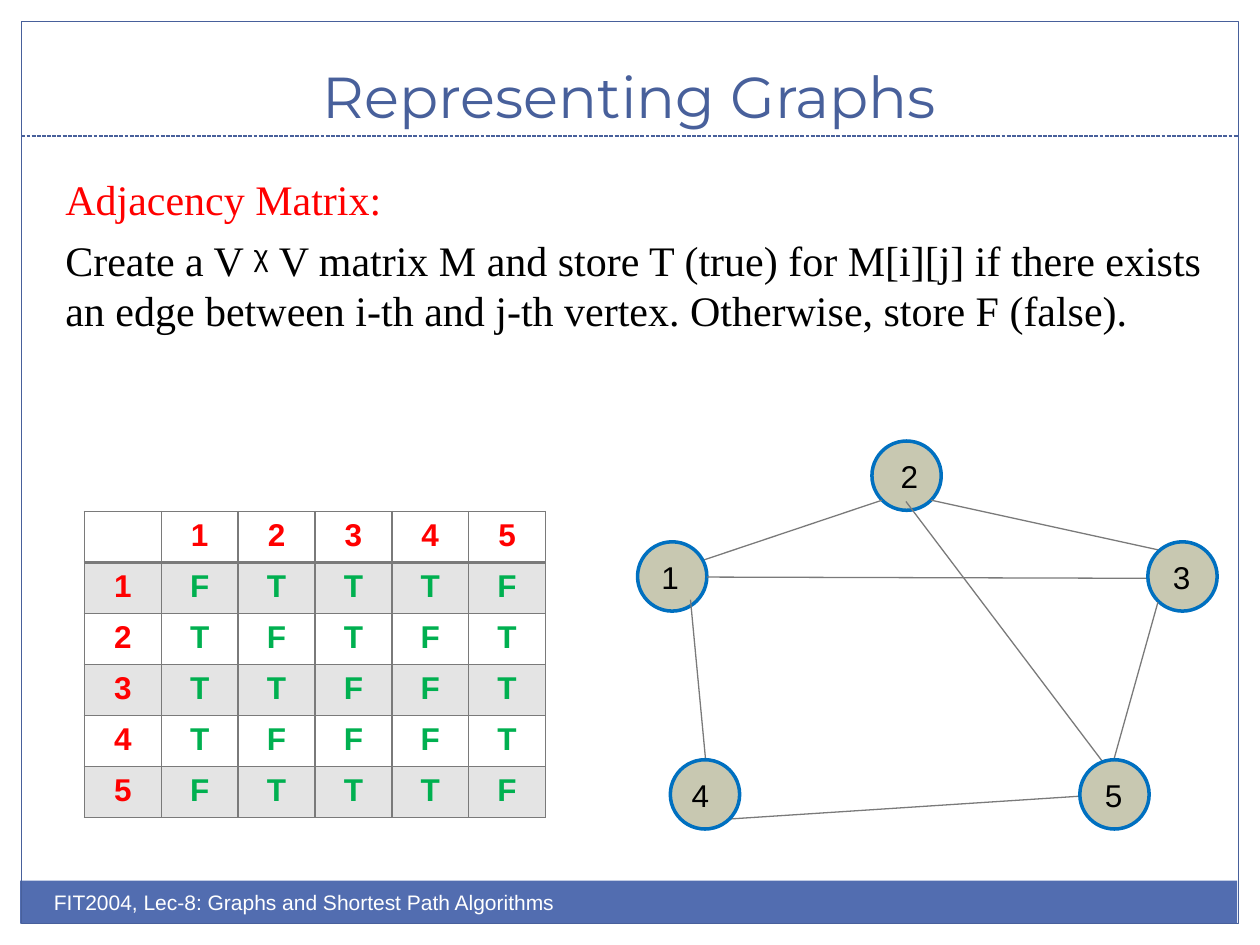
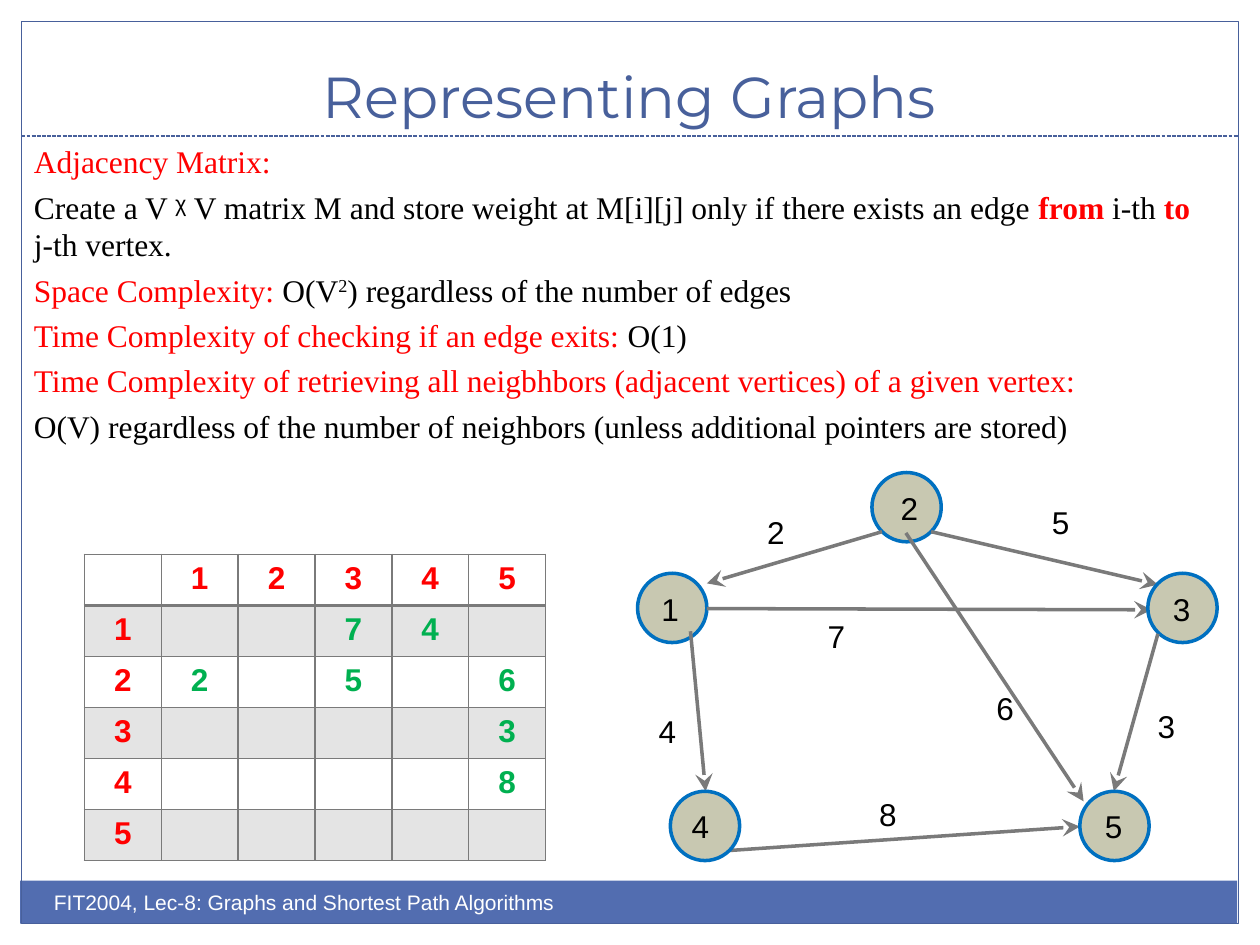
from lxml import etree
from pptx import Presentation
from pptx.dml.color import RGBColor
from pptx.enum.dml import MSO_LINE
from pptx.enum.shapes import MSO_CONNECTOR, MSO_SHAPE
from pptx.enum.text import MSO_ANCHOR, PP_ALIGN
from pptx.oxml.ns import qn
from pptx.util import Inches, Pt

RECTANGLE, OVAL = MSO_SHAPE.RECTANGLE, MSO_SHAPE.OVAL
STRAIGHT = MSO_CONNECTOR.STRAIGHT
DASHED = MSO_LINE.SQUARE_DOT
LEFT, CENTER = PP_ALIGN.LEFT, PP_ALIGN.CENTER
TOP, BOTTOM = MSO_ANCHOR.TOP, MSO_ANCHOR.BOTTOM

WHITE = RGBColor(0xFF, 0xFF, 0xFF)
BLACK = RGBColor(0x00, 0x00, 0x00)
RED = RGBColor(0xFF, 0x00, 0x00)
GREEN = RGBColor(0x00, 0xB0, 0x50)
GRAY = RGBColor(0x7A, 0x7A, 0x7A)
STRIPE = RGBColor(0xE4, 0xE4, 0xE4)
NAVY = RGBColor(0x48, 0x60, 0x9B)
BAND_BLUE = RGBColor(0x52, 0x6D, 0xB0)
NODE_FILL = RGBColor(0xC8, 0xC8, 0xB1)
NODE_LINE = RGBColor(0x00, 0x70, 0xC0)

TITLE = {"name": "Montserrat", "size": Pt(33), "color": NAVY}
FOOTER = {"name": "Arial", "size": Pt(12), "color": WHITE}
LABEL = {"name": "Arial", "size": Pt(18), "color": BLACK}
HEADER_CELL = {**LABEL, "color": RED, "bold": True}
VALUE_CELL = {**HEADER_CELL, "color": GREEN}
BODY = {"name": "Times New Roman", "color": BLACK}
HEADING = {"color": RED}
STRONG = {"color": RED, "bold": True}
SYMBOL = {"name": "Arial"}
SUPERSCRIPT = {"baseline": "30000"}

NODE_SIZE = 0.55
NODES = {2: (6.92, 0, 7.05), 1: (5.06, 0.8, 5.15), 3: (9.11, 0.8, 9.21),
         4: (5.32, 2.53, 5.39), 5: (8.57, 2.53, 8.67)}
EDGES_AFTER_NODE = {2: ["2-1", "2-3", "2-5"], 1: ["1-4", "4-5", "1-3"], 3: ["3-5"]}
EDGE_STARTS = {"2-1": (7, 0.47), "2-3": (7.39, 0.47), "2-5": (7.19, 0.48),
               "1-4": (5.48, 1.26), "4-5": (5.79, 3), "1-3": (5.61, 1.08),
               "3-5": (9.19, 1.28)}
SHARED_ENDS = {"1-4": (5.6, 2.53), "1-3": (9.14, 1.09), "3-5": (8.84, 2.53)}
UNDIRECTED_ENDS = {**SHARED_ENDS, "2-1": (5.33, 1.03), "2-3": (9.31, 0.89),
                   "4-5": (8.71, 2.81), "2-5": (8.8, 2.61)}
DIRECTED_ENDS = {**SHARED_ENDS, "2-1": (5.61, 0.88), "2-3": (9.19, 0.89),
                 "4-5": (8.57, 2.81), "2-5": (8.6, 2.61)}
WEIGHTS = [("4", 5.13, 1.85), ("8", 6.88, 2.51), ("7", 6.47, 1.1), ("6", 7.81, 1.67),
           ("3", 9.09, 1.81), ("2", 5.99, 0.27), ("5", 8.25, 0.19)]

TRUE_FALSE_MATRIX = ["FTTTF", "TFTFT", "TTFFT", "TFFFT", "FTTTF"]
WEIGHT_MATRIX = [["", "", "7", "4", ""], ["2", "", "5", "", "6"],
                 ["", "", "", "", "3"], ["", "", "", "", "8"], [""] * 5]

TRUE_FALSE_TEXT = [
    [("Adjacency Matrix:", HEADING)],
    [("Create a V ", {}), ("ᵡ", SYMBOL),
     (" V matrix M and store T (true) for M[i][j] if there exists an edge between "
      "i-th and j-th vertex. Otherwise, store F (false).", {})],
]
WEIGHT_TEXT = [
    [("Adjacency Matrix:", HEADING)],
    [("Create a V ", {}), ("ᵡ", SYMBOL),
     (" V matrix M and store weight at M[i][j] only if there exists an edge ", {}),
     ("from ", STRONG), ("i-th ", {}), ("to ", STRONG), ("j-th vertex.", {})],
    [("Space Complexity: ", HEADING), ("O(V", {}), ("2", SUPERSCRIPT),
     (") regardless of the number of edges", {})],
    [("Time Complexity of checking if an edge exits: ", HEADING), ("O(1)", {})],
    [("Time Complexity of retrieving all neigbhbors (adjacent vertices) "
      "of a given vertex:", HEADING)],
    [("O(V) regardless of the number of neighbors "
      "(unless additional pointers are stored)", {})],
]


class GraphDeck:
    """Holds the deck style and the slide being built."""

    def __init__(self):
        self.presentation = Presentation()
        self.presentation.slide_width = Inches(10)
        self.presentation.slide_height = Inches(7.5)
        self.slide = None

    def new_slide(self, title):
        self.slide = self.presentation.slides.add_slide(self.presentation.slide_layouts[6])
        self.shape(RECTANGLE, 0.16, 6.99, 9.66, 0.34, fill=BAND_BLUE)
        self.shape(RECTANGLE, 0.17, 0.17, 9.66, 7.16, line=NAVY, width=0.75)
        rule = self.line((0.17, 1.08), (9.83, 1.08), NAVY, 0.75)
        rule.line.dash_style = DASHED
        self.text(0.33, 0.25, 9.33, 0.83, [[(title, {})]], TITLE, CENTER, BOTTOM)
        footer = "FIT2004, Lec-8: Graphs and Shortest Path Algorithms"
        self.text(0.33, 7.01, 5, 0.4, [[(footer, {})]], FOOTER)

    def shape(self, kind, left, top, width_in, height, fill=None, line=None, width=1.0):
        shape = self.slide.shapes.add_shape(
            kind, Inches(left), Inches(top), Inches(width_in), Inches(height))
        shape.shadow.inherit = False
        for part, color in ((shape.fill, fill), (shape.line.fill, line)):
            if color is None:
                part.background()
            else:
                part.solid()
                part.fore_color.rgb = color
        if line is not None:
            shape.line.width = Pt(width)

    def line(self, start, end, color, width, arrow=False):
        connector = self.slide.shapes.add_connector(
            STRAIGHT, *(Inches(value) for value in (*start, *end)))
        connector.line.color.rgb = color
        connector.line.width = Pt(width)
        if arrow:
            outline = connector.line._get_or_add_ln()
            etree.SubElement(outline, qn("a:tailEnd"), type="stealth", w="lg", len="lg")
        etree.SubElement(connector._element.spPr, qn("a:effectLst"))
        return connector

    def run(self, paragraph, text, style):
        run = paragraph.add_run()
        run.text = text
        for name, value in style.items():
            if name == "color":
                run.font.color.rgb = value
            elif name == "baseline":
                run._r.get_or_add_rPr().set(name, value)
            else:
                setattr(run.font, name, value)

    def text(self, left, top, width, height, lines, style,
             alignment=LEFT, anchor=TOP, wrap=True):
        box = self.slide.shapes.add_textbox(
            Inches(left), Inches(top), Inches(width), Inches(height))
        frame = box.text_frame
        frame.word_wrap = wrap
        frame.vertical_anchor = anchor
        for index, pieces in enumerate(lines):
            paragraph = frame.add_paragraph() if index else frame.paragraphs[0]
            paragraph.alignment = alignment
            if index:
                paragraph.space_before = Pt(style["size"].pt * 0.24)
            for text, changes in pieces:
                self.run(paragraph, text, {**style, **changes})

    def label(self, text, left, top):
        self.text(left, top, 0.34, 0.4, [[(text, {})]], LABEL, wrap=False)

    def cell_borders(self, cell, bottom, top):
        properties = cell._tc.get_or_add_tcPr()
        widths = {"lnL": 1, "lnR": 1, "lnT": top, "lnB": bottom}
        for position, (side, width) in enumerate(widths.items()):
            border = etree.Element(qn(f"a:{side}"), w=str(Pt(width)))
            fill = etree.SubElement(border, qn("a:solidFill"))
            etree.SubElement(fill, qn("a:srgbClr"), val=str(GRAY))
            properties.insert(position, border)

    def matrix(self, top, values):
        numbers = [str(number) for number in range(1, len(values) + 1)]
        rows = [["", *numbers]] + [[number, *row] for number, row in zip(numbers, values)]
        size = len(rows)
        table = self.slide.shapes.add_table(
            size, size, Inches(0.67), Inches(top), Inches(3.66), Inches(2.43)).table
        table.first_row = table.horz_banding = False
        for row, texts in enumerate(rows):
            for column, text in enumerate(texts):
                cell = table.cell(row, column)
                if row % 2:
                    cell.fill.solid()
                    cell.fill.fore_color.rgb = STRIPE
                else:
                    cell.fill.background()
                self.cell_borders(cell, bottom=2 if row == 0 else 1, top=2 if row == 1 else 1)
                paragraph = cell.text_frame.paragraphs[0]
                paragraph.alignment = CENTER
                if text:
                    is_value = row and column
                    self.run(paragraph, text, VALUE_CELL if is_value else HEADER_CELL)

    def graph(self, top, ends, width, arrow=False):
        for node, (left, drop, label_left) in NODES.items():
            self.shape(OVAL, left, top + drop, NODE_SIZE, NODE_SIZE, NODE_FILL, NODE_LINE, 2)
            self.label(str(node), label_left, top + drop + 0.08)
            for edge in EDGES_AFTER_NODE.get(node, []):
                start, end = ((x, top + y) for x, y in (EDGE_STARTS[edge], ends[edge]))
                self.line(start, end, GRAY, width, arrow)


def main():
    deck = GraphDeck()

    deck.new_slide("Representing Graphs")
    deck.text(0.42, 1.33, 9.42, 2, TRUE_FALSE_TEXT, {**BODY, "size": Pt(24)})
    deck.graph(3.5, UNDIRECTED_ENDS, 0.75)
    deck.matrix(4.06, TRUE_FALSE_MATRIX)

    deck.new_slide("Representing Graphs")
    deck.text(0.17, 1.08, 9.42, 2, WEIGHT_TEXT, {**BODY, "size": Pt(18)})
    deck.matrix(4.4, WEIGHT_MATRIX)
    graph_top = 3.75
    deck.graph(graph_top, DIRECTED_ENDS, 2, arrow=True)
    for weight, left, drop in WEIGHTS:
        deck.label(weight, left, graph_top + drop)

    deck.presentation.save("out.pptx")


if __name__ == "__main__":
    main()
